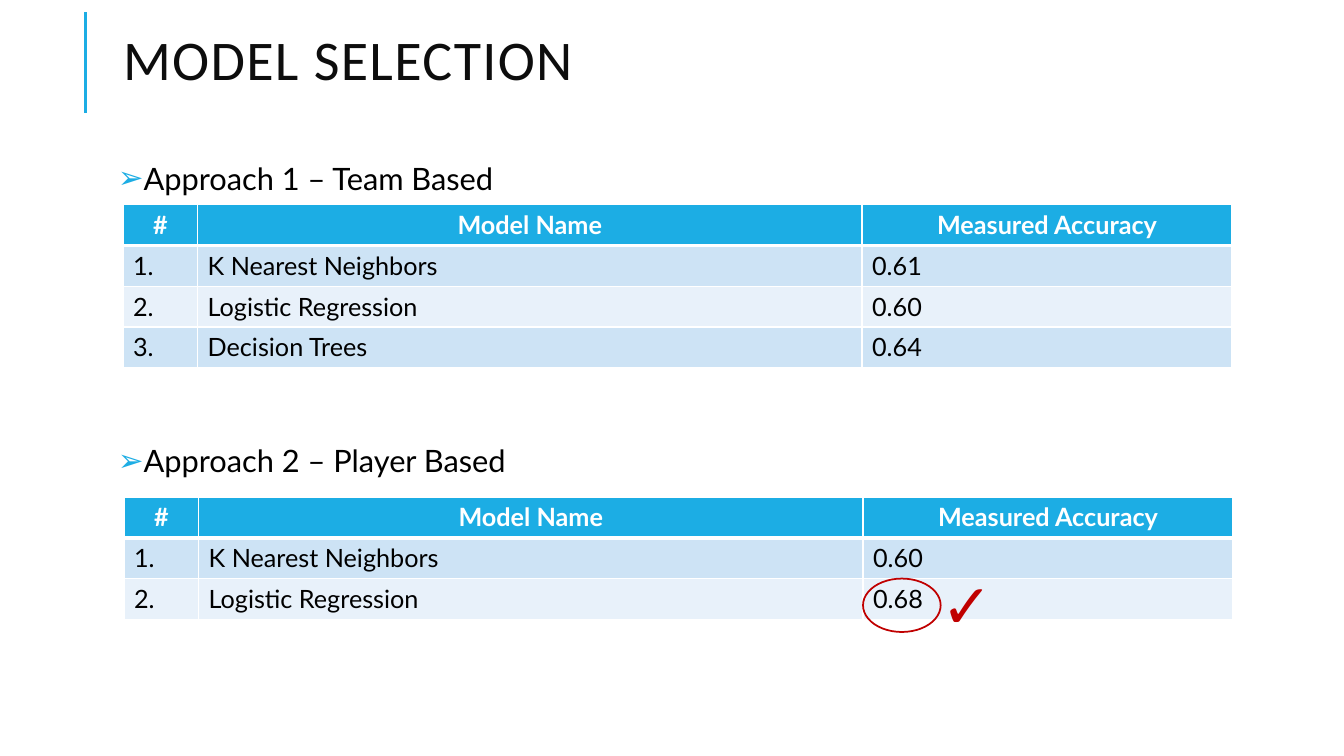
from dataclasses import dataclass

from lxml.etree import SubElement
from pptx import Presentation
from pptx.dml.color import RGBColor as RGB
from pptx.enum.shapes import MSO_CONNECTOR as CONN, MSO_SHAPE as SHAPE
from pptx.enum.text import MSO_ANCHOR as ANCHOR, MSO_AUTO_SIZE as AUTO, PP_ALIGN as ALIGN
from pptx.oxml import parse_xml
from pptx.oxml.ns import nsdecls, qn
from pptx.util import Inches, Pt


@dataclass(frozen=True)
class Theme:
    accent: str = "1CADE4"
    title: str = "0D0D0D"
    text: str = "000000"
    white: str = "FFFFFF"
    bands: tuple = ("CDE3F5", "E8F1FA")
    mark: str = "C00000"
    title_font: str = "Calibri"
    body_font: str = "Lato"
    title_size: int = 40
    list_size: int = 22
    table_size: int = 18
    mark_size: int = 44


class Deck:
    def __init__(self, prs, theme):
        self.t = theme
        self.s = prs.slides.add_slide(prs.slide_layouts[1])

    def place(self, sp, box):
        sp.left, sp.top, sp.width, sp.height = map(Inches, box)

    def style(self, p, size, color, font=None, bold=False):
        for r in p.runs:
            r.font.name = font or self.t.body_font
            r.font.size = Pt(size)
            r.font.bold = bold
            r.font.color.rgb = RGB.from_string(color)

    def title(self, text, box):
        sp = self.s.shapes.title
        self.place(sp, box)
        tf = sp.text_frame
        tf.text = text
        tf.vertical_anchor = ANCHOR.MIDDLE
        tf.auto_size = AUTO.NONE
        p = tf.paragraphs[0]
        p.alignment = ALIGN.LEFT
        p.line_spacing = 0.8
        self.style(p, self.t.title_size, self.t.title, self.t.title_font)
        p.runs[0].font._element.set("spc", "100")

    def bullets(self, items, box):
        """Items are pairs of text and space before in points."""
        sp = self.s.placeholders[1]
        self.place(sp, box)
        tf = sp.text_frame
        tf.text = "\n".join(text for text, _ in items)
        tf.auto_size = AUTO.NONE
        tf.vertical_anchor = ANCHOR.TOP
        tf.margin_left = tf.margin_right = Inches(0.05)
        tf.margin_top = tf.margin_bottom = Inches(0.05)
        for p, (_, before) in zip(tf.paragraphs, items):
            p.space_before, p.space_after = Pt(before), Pt(2)
            p.line_spacing = 1.0
            self.style(p, self.t.list_size, self.t.text)
            pPr = p._p.get_or_add_pPr()
            pPr.set("marL", str(Inches(0.1)))
            pPr.set("indent", str(-Inches(0.1)))
            color = SubElement(pPr, qn("a:buClr"))
            SubElement(color, qn("a:srgbClr"), val=self.t.accent)
            SubElement(pPr, qn("a:buChar"), char="➢")

    def borders(self, cell, top, bottom):
        tcPr = cell._tc.get_or_add_tcPr()
        for i, (side, width) in enumerate(zip("LRTB", (1, 1, top, bottom))):
            tcPr.insert(i, parse_xml(
                f'<a:ln{side} {nsdecls("a")} w="{Pt(width)}"><a:solidFill>'
                f'<a:srgbClr val="{self.t.white}"/></a:solidFill></a:ln{side}>'))

    def table(self, rows, left, top, widths, row_height):
        frame = self.s.shapes.add_table(
            len(rows), len(widths), Inches(left), Inches(top),
            Inches(sum(widths)), Inches(row_height * len(rows)))
        table = frame.table
        for col, width in zip(table.columns, widths):
            col.width = Inches(width)
        for i, row in enumerate(rows):
            head = i == 0
            fill = self.t.accent if head else self.t.bands[(i - 1) % 2]
            for j, text in enumerate(row):
                cell = table.cell(i, j)
                cell.text = text
                cell.fill.solid()
                cell.fill.fore_color.rgb = RGB.from_string(fill)
                p = cell.text_frame.paragraphs[0]
                p.alignment = ALIGN.CENTER if head else ALIGN.LEFT
                color = self.t.white if head else self.t.text
                self.style(p, self.t.table_size, color, bold=head)
                self.borders(cell, 3 if i == 1 else 1, 3 if head else 1)

    def line(self, x1, y1, x2, y2, width):
        ln = self.s.shapes.add_connector(CONN.STRAIGHT, *map(Inches, (x1, y1, x2, y2)))
        ln.line.color.rgb = RGB.from_string(self.t.accent)
        ln.line.width = Pt(width)
        SubElement(ln._element.spPr, qn("a:effectLst"))

    def mark(self, text, box):
        tf = self.s.shapes.add_textbox(*map(Inches, box)).text_frame
        tf.word_wrap = False
        tf.auto_size = AUTO.SHAPE_TO_FIT_TEXT
        tf.text = text
        self.style(tf.paragraphs[0], self.t.mark_size, self.t.mark, bold=True)

    def ring(self, box):
        sp = self.s.shapes.add_shape(SHAPE.OVAL, *map(Inches, box))
        sp.shadow.inherit = False
        sp.fill.background()
        sp.line.color.rgb = RGB.from_string(self.t.mark)
        sp.line.width = Pt(1.25)


prs = Presentation()
prs.slide_width, prs.slide_height = Inches(13.33), Inches(7.5)
deck = Deck(prs, Theme())

# Title with its accent rule
deck.line(0.85, 1.12, 0.85, 0.12, 2.25)
deck.title("MODEL SELECTION", (1.12, 0.01, 10.63, 1.26))

# Approach headings, spaced to leave room for the first table
deck.bullets([("Approach 1 – Team Based", 12), ("Approach 2 – Player Based", 173.6)],
             (1.12, 1.53, 10.63, 4.4))

# Accuracy tables
header = ("#", "Model Name", "Measured Accuracy")
team = [("K Nearest Neighbors", "0.61"), ("Logistic Regression", "0.60"),
        ("Decision Trees", "0.64")]
player = [("K Nearest Neighbors", "0.60"), ("Logistic Regression", "0.68")]
for models, left, top in ((team, 1.22, 2.03), (player, 1.23, 4.93)):
    rows = [header] + [(f"{n}.", *model) for n, model in enumerate(models, 1)]
    deck.table(rows, left, top, (0.74, 6.59, 3.67), 0.405)

# Best result
deck.mark("✓", (9.24, 5.58, 0.68, 0.84))
deck.ring((8.56, 5.74, 0.77, 0.53))

prs.save("out.pptx")
